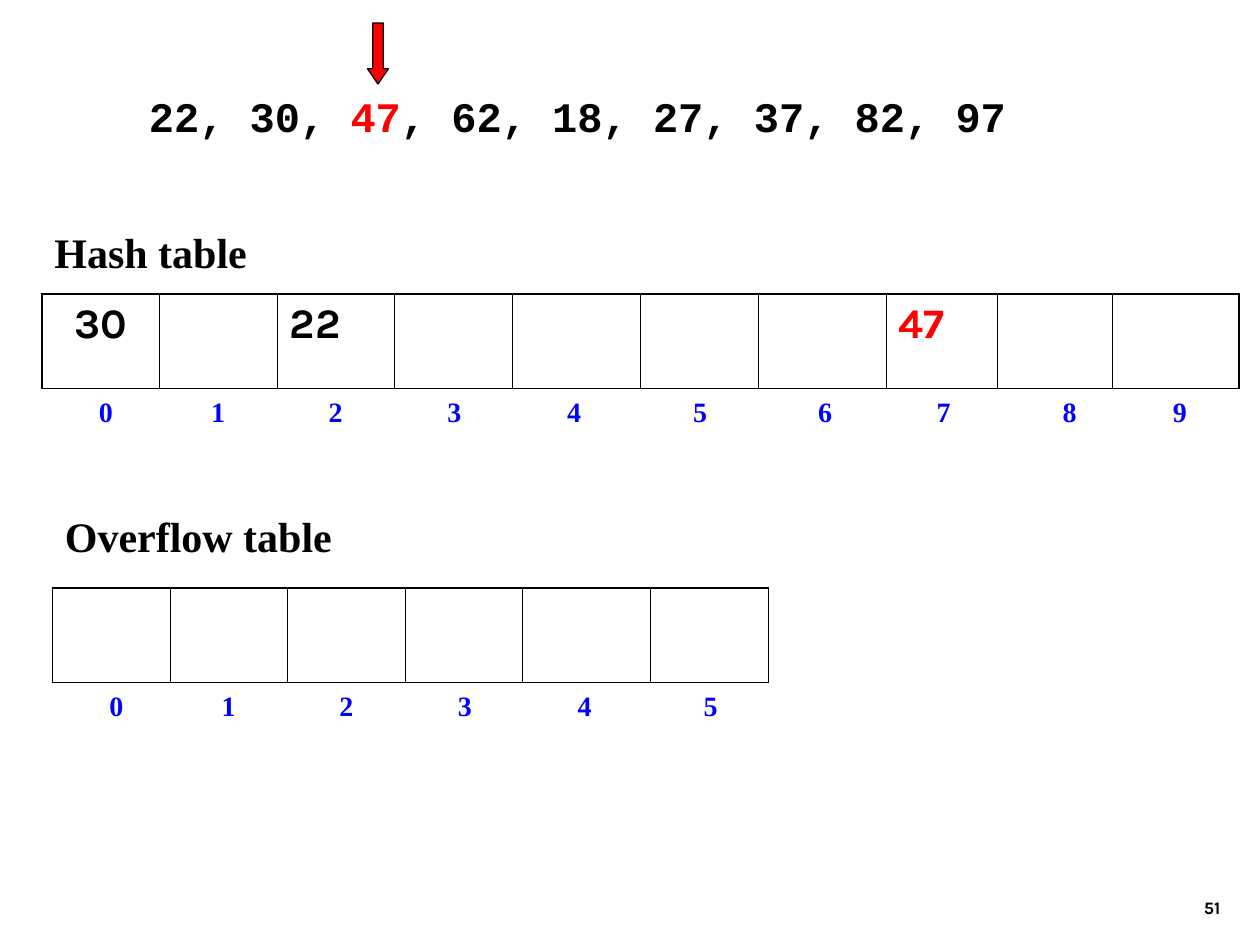
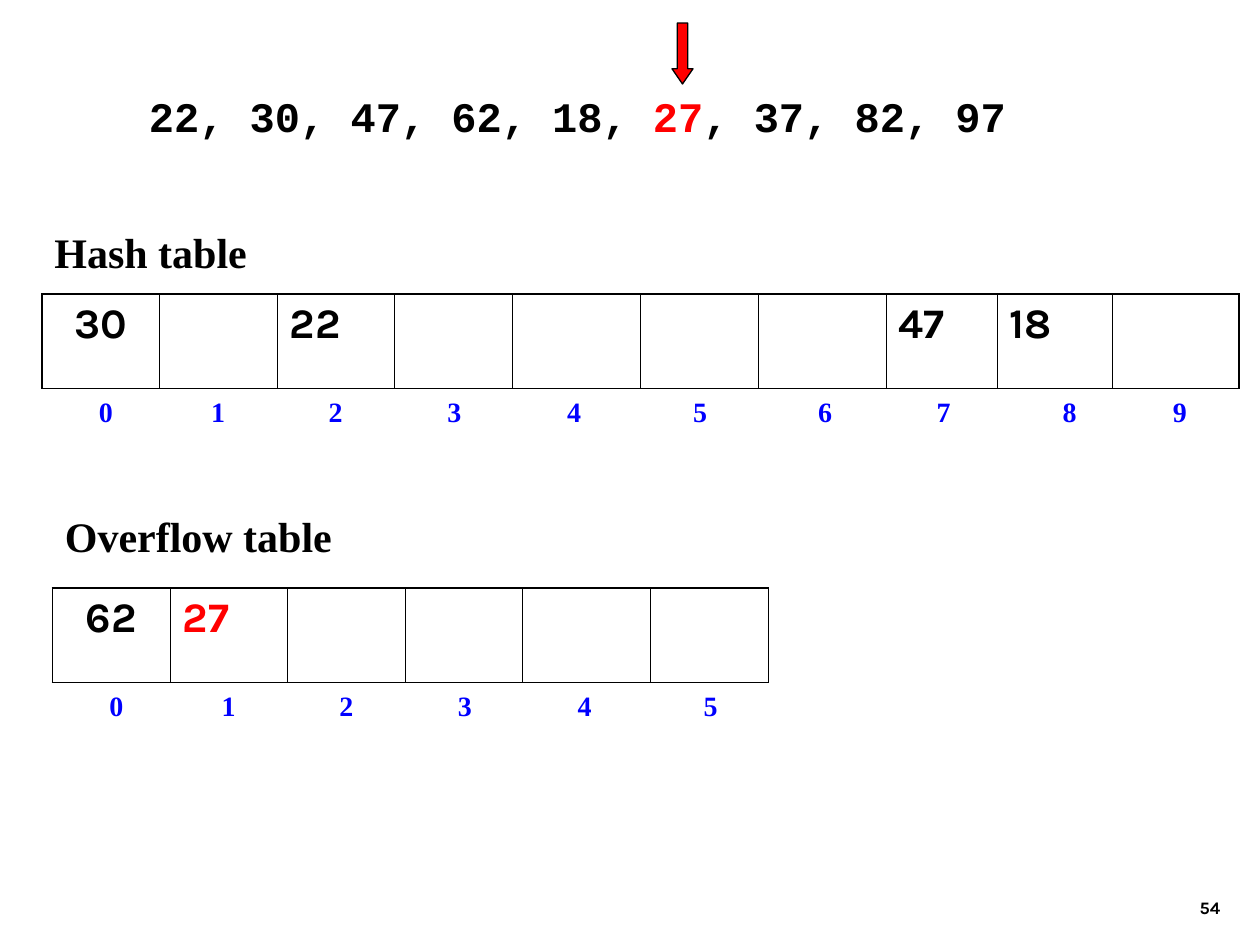
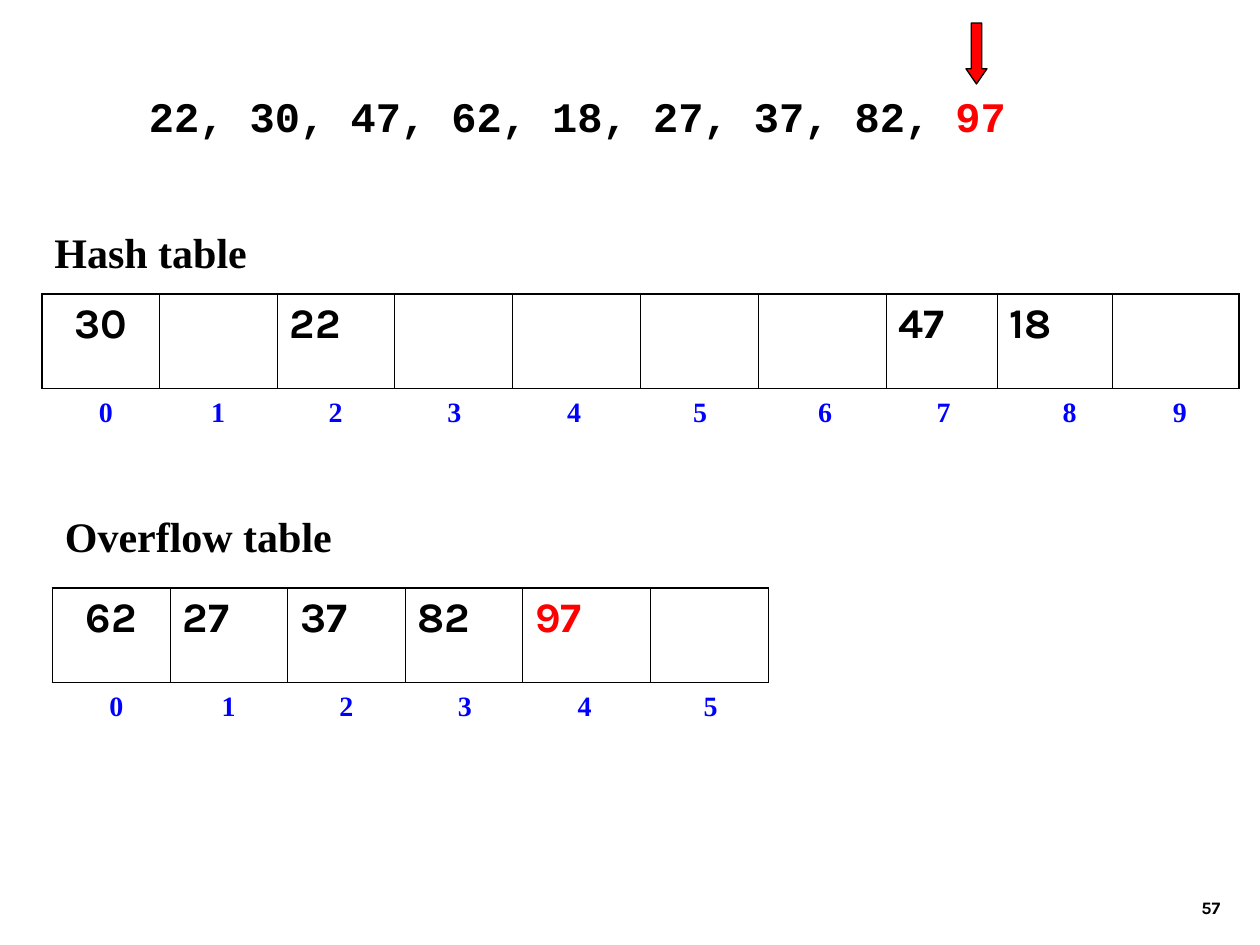
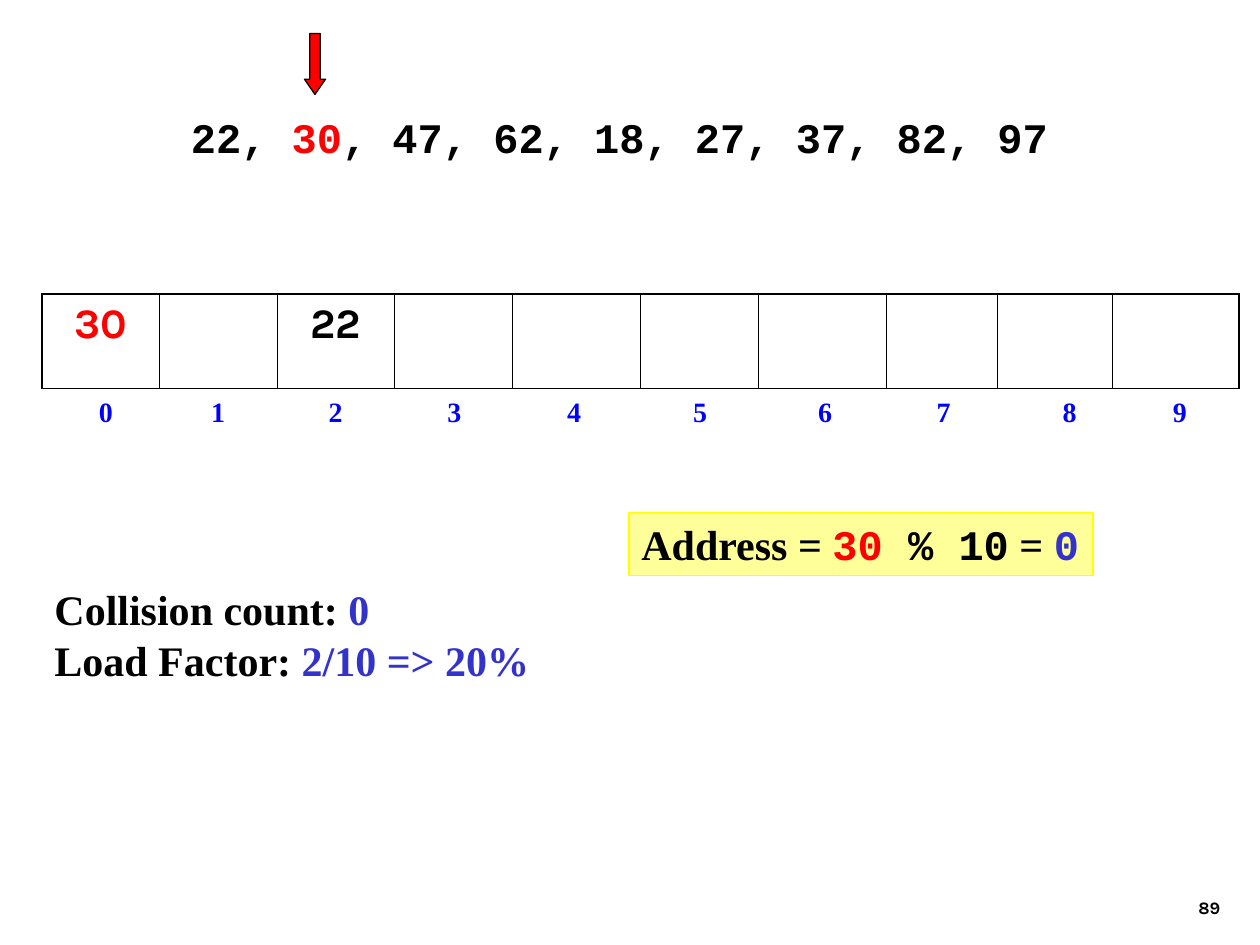
from lxml.etree import SubElement
from pptx import Presentation
from pptx.dml.color import RGBColor
from pptx.enum.shapes import MSO_SHAPE
from pptx.enum.text import MSO_ANCHOR, MSO_AUTO_SIZE, PP_ALIGN
from pptx.oxml.ns import qn
from pptx.util import Inches, Pt

BLACK, RED, INDEX_BLUE, RESULT_BLUE = "000000", "FF0000", "0000FF", "3333CC"
PALE_YELLOW, YELLOW = "FFFF99", "FFFF00"
SERIF, MONO, SANS = "Times New Roman", "Courier New", "Karla"

# The slide is a grid of 120 columns by 90 rows, 12 to the inch.
GRID_COLS, GRID_ROWS = 120, 90
ROW_HEIGHT = 9
CELL_WIDTHS = [11.2, 11.2, 11.2, 11.2, 12.2, 11.2, 12.2, 10.6, 11, 12]
INDEX_STOPS = [5.9, 16.6, 27.8, 39.1, 50.5, 62.5, 74.4, 85.7, 97.7, 108.2]
OUTER_LINE, INNER_LINE = 1.08, 0.45

KEYS = ["22", "30", "47", "62", "18", "27", "37", "82", "97"]
HASH_SIZE, OVERFLOW_SIZE = 10, 6


def grid(units):
    return Inches(units / 12)


def color(hex_string):
    return RGBColor.from_string(hex_string)


def add_run(paragraph, text, font=SERIF, fill=BLACK, size=24):
    run = paragraph.add_run()
    run.text = text
    run.font.name = font
    run.font.size = Pt(size)
    run.font.bold = True
    run.font.color.rgb = color(fill)


def write(frame, lines, wrap):
    """Fill a text frame with lines, each a list of add_run arguments."""
    frame.word_wrap = wrap
    frame.auto_size = MSO_AUTO_SIZE.SHAPE_TO_FIT_TEXT
    for number, runs in enumerate(lines):
        paragraph = frame.add_paragraph() if number else frame.paragraphs[0]
        for run in runs:
            add_run(paragraph, *run)


def add_text(slide, col, row, cols, rows, lines, wrap=True):
    box = slide.shapes.add_textbox(grid(col), grid(row), grid(cols), grid(rows))
    write(box.text_frame, lines, wrap)
    return box.text_frame


def add_box(slide, preset, col, row, cols, rows, fill, line):
    box = slide.shapes.add_shape(preset, grid(col), grid(row), grid(cols), grid(rows))
    box.shadow.inherit = False
    box.fill.solid()
    box.fill.fore_color.rgb = color(fill)
    box.line.color.rgb = color(line)
    box.line.width = Pt(0.75)
    return box


def add_page_number(slide, number):
    frame = add_text(slide, 92.4, 82, 25, 6, [[(str(number), SANS, BLACK, 10)]])
    frame.auto_size = MSO_AUTO_SIZE.NONE
    frame.vertical_anchor = MSO_ANCHOR.BOTTOM
    frame.paragraphs[0].alignment = PP_ALIGN.RIGHT


def add_keys(slide, col, row, current):
    """List the keys with the one being inserted in red."""
    position = KEYS.index(current)
    before = "".join(key + ", " for key in KEYS[:position])
    after = "".join(", " + key for key in KEYS[position + 1:])
    runs = [(before, MONO), (current, MONO, RED), (after, MONO)]
    add_text(slide, col, row, 84, 6, [[run for run in runs if run[0]]], wrap=False)


def add_pointer(slide, col, row):
    pointer = add_box(slide, MSO_SHAPE.DOWN_ARROW, col, row, 2, 5.8, RED, BLACK)
    pointer.adjustments[0] = 0.5
    pointer.adjustments[1] = 0.725


def set_borders(cell, left, right):
    properties = cell._tc.get_or_add_tcPr()
    sides = {"a:lnL": left, "a:lnR": right, "a:lnT": OUTER_LINE, "a:lnB": OUTER_LINE}
    for tag, width in sides.items():
        border = SubElement(properties, qn(tag), w=str(Pt(width)))
        SubElement(SubElement(border, qn("a:solidFill")), qn("a:srgbClr"), val=BLACK)


def add_indexes(slide, col, row, cols, rows, size):
    text = "".join(f"\t{index}" for index in range(size))
    frame = add_text(slide, col, row, cols, rows, [[(text, SERIF, INDEX_BLUE, 16)]])
    tabs = SubElement(frame.paragraphs[0]._p.get_or_add_pPr(), qn("a:tabLst"))
    for stop in INDEX_STOPS[:size]:
        SubElement(tabs, qn("a:tab"), pos=str(grid(stop)), algn="ctr")


def add_slots(slide, col, row, size, stored, current, centered):
    """Draw a one-row table; stored maps a slot to its key."""
    widths = CELL_WIDTHS[:size]
    table = slide.shapes.add_table(1, size, grid(col), grid(row),
                                   grid(sum(widths)), grid(ROW_HEIGHT)).table
    table.first_row = table.horz_banding = False
    for slot, width in enumerate(widths):
        table.columns[slot].width = grid(width)
        cell = table.cell(0, slot)
        set_borders(cell, INNER_LINE if slot else OUTER_LINE,
                    INNER_LINE if slot < size - 1 else OUTER_LINE)
        cell.fill.background()
        if slot in stored:
            key = stored[slot]
            paragraph = cell.text_frame.paragraphs[0]
            add_run(paragraph, key, SANS, RED if key == current else BLACK)
            if slot in centered:
                paragraph.alignment = PP_ALIGN.CENTER


def add_hash_table(slide, stored, current, centered=(0,)):
    add_indexes(slide, 3, 28 + ROW_HEIGHT, 115, 7.7, HASH_SIZE)
    add_slots(slide, 4, 28, HASH_SIZE, stored, current, centered)


def add_overflow_table(slide, stored, current):
    add_indexes(slide, 4, 56 + ROW_HEIGHT, 69, 4.5, OVERFLOW_SIZE)
    add_slots(slide, 5, 56, OVERFLOW_SIZE, stored, current, centered=(0,))


def overflow_slide(slide, page, current, pointer_col, hashed, overflowed):
    add_page_number(slide, page)
    add_hash_table(slide, hashed, current)
    add_keys(slide, 13, 8, current)
    add_overflow_table(slide, overflowed, current)
    add_text(slide, 4, 21, 22, 6, [[("Hash table",)]])
    add_text(slide, 5, 48, 33, 6, [[("Overflow table",)]])
    add_pointer(slide, pointer_col, 2.2)


def address_slide(slide, page):
    current = "30"
    add_page_number(slide, page)
    add_hash_table(slide, {0: "30", 2: "22"}, current, centered=(0, 2))
    add_keys(slide, 17, 10, current)
    add_pointer(slide, 29, 3.2)
    add_text(slide, 4, 55, 47.6, 10.8, [
        [("Collision count: ",), ("0", SERIF, RESULT_BLUE)],
        [("Load Factor: ",), ("2/10 => 20%", SERIF, RESULT_BLUE)],
    ], wrap=False)
    address = add_box(slide, MSO_SHAPE.RECTANGLE, 59.9, 48.8, 44.2, 6,
                      PALE_YELLOW, YELLOW)
    write(address.text_frame, [[
        ("Address = ",), (current, MONO, RED), (" % 10", MONO),
        (" = ",), ("0", MONO, RESULT_BLUE),
    ]], wrap=False)
    address.text_frame.vertical_anchor = MSO_ANCHOR.TOP
    address.text_frame.paragraphs[0].alignment = PP_ALIGN.LEFT


def main():
    deck = Presentation()
    deck.slide_width, deck.slide_height = grid(GRID_COLS), grid(GRID_ROWS)
    blank = deck.slide_layouts[6]

    first_hashed = {0: "30", 2: "22", 7: "47"}
    all_hashed = {**first_hashed, 8: "18"}
    steps = [
        (51, "47", 35, first_hashed, {}),
        (54, "27", 64, all_hashed, {0: "62", 1: "27"}),
        (57, "97", 92, all_hashed, dict(enumerate(["62", "27", "37", "82", "97"]))),
    ]
    for step in steps:
        overflow_slide(deck.slides.add_slide(blank), *step)
    address_slide(deck.slides.add_slide(blank), 89)

    deck.save("out.pptx")


if __name__ == "__main__":
    main()
